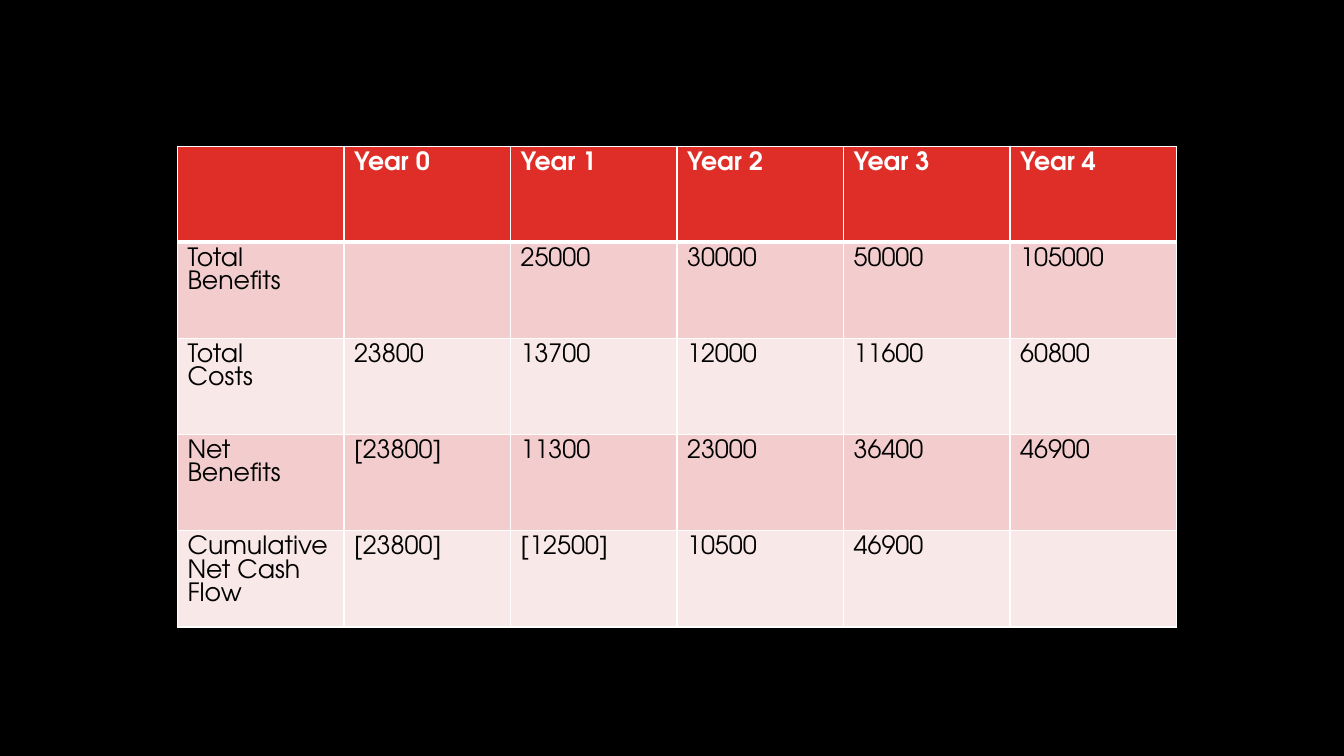
"""Build a slide with a five-year cost and benefit table."""
from lxml import etree
from pptx import Presentation
from pptx import util as u
from pptx.dml.color import RGBColor
from pptx.oxml.ns import qn

BLACK = RGBColor(0x00, 0x00, 0x00)
WHITE = RGBColor(0xFF, 0xFF, 0xFF)
RED = RGBColor(0xDF, 0x2E, 0x28)
ROSE = RGBColor(0xF3, 0xCD, 0xCD)
PALE = RGBColor(0xF9, 0xE8, 0xE8)

ROWS = [
    ["", "Year 0", "Year 1", "Year 2", "Year 3", "Year 4"],
    ["Total Benefits", "", "25000", "30000", "50000", "105000"],
    ["Total\nCosts", "23800", "13700", "12000", "11600", "60800"],
    ["Net\nBenefits", "[23800]", "11300", "23000", "36400", "46900"],
    ["Cumulative\nNet Cash Flow", "[23800]", "[12500]", "10500", "46900", ""],
]


def add_border(cell, side, width):
    """Draw one white edge of a cell."""
    ln = etree.SubElement(cell._tc.get_or_add_tcPr(), qn(f"a:ln{side}"), w=str(u.Pt(width)))
    fill = etree.SubElement(ln, qn("a:solidFill"))
    etree.SubElement(fill, qn("a:srgbClr"), val=str(WHITE))


prs = Presentation()
prs.slide_width, prs.slide_height = u.Inches(13.33), u.Inches(7.5)
s = prs.slides.add_slide(prs.slide_layouts[6])
s.background.fill.solid()
s.background.fill.fore_color.rgb = BLACK

frame = s.shapes.add_table(len(ROWS), len(ROWS[0]), u.Inches(1.76), u.Inches(1.45),
                           u.Inches(9.91), u.Inches(4.77))
table = frame.table

for i, row in enumerate(ROWS):
    header = i == 0
    font = {"name": "TeX Gyre Adventor", "size": u.Pt(18), "bold": header}
    for j, value in enumerate(row):
        cell = table.cell(i, j)
        for side in "LRTB":
            thick = (header and side == "B") or (i == 1 and side == "T")
            add_border(cell, side, 3 if thick else 1)
        cell.fill.solid()
        cell.fill.fore_color.rgb = RED if header else ROSE if i % 2 else PALE
        cell.text = value
        for p in cell.text_frame.paragraphs:
            p.line_spacing = u.Pt(16.8)
            for key, setting in font.items():
                setattr(p.font, key, setting)
            p.font.color.rgb = WHITE if header else BLACK
            for r in p.runs:
                for key, setting in font.items():
                    setattr(r.font, key, setting)
                r.font.color.rgb = WHITE if header else BLACK

prs.save("out.pptx")
